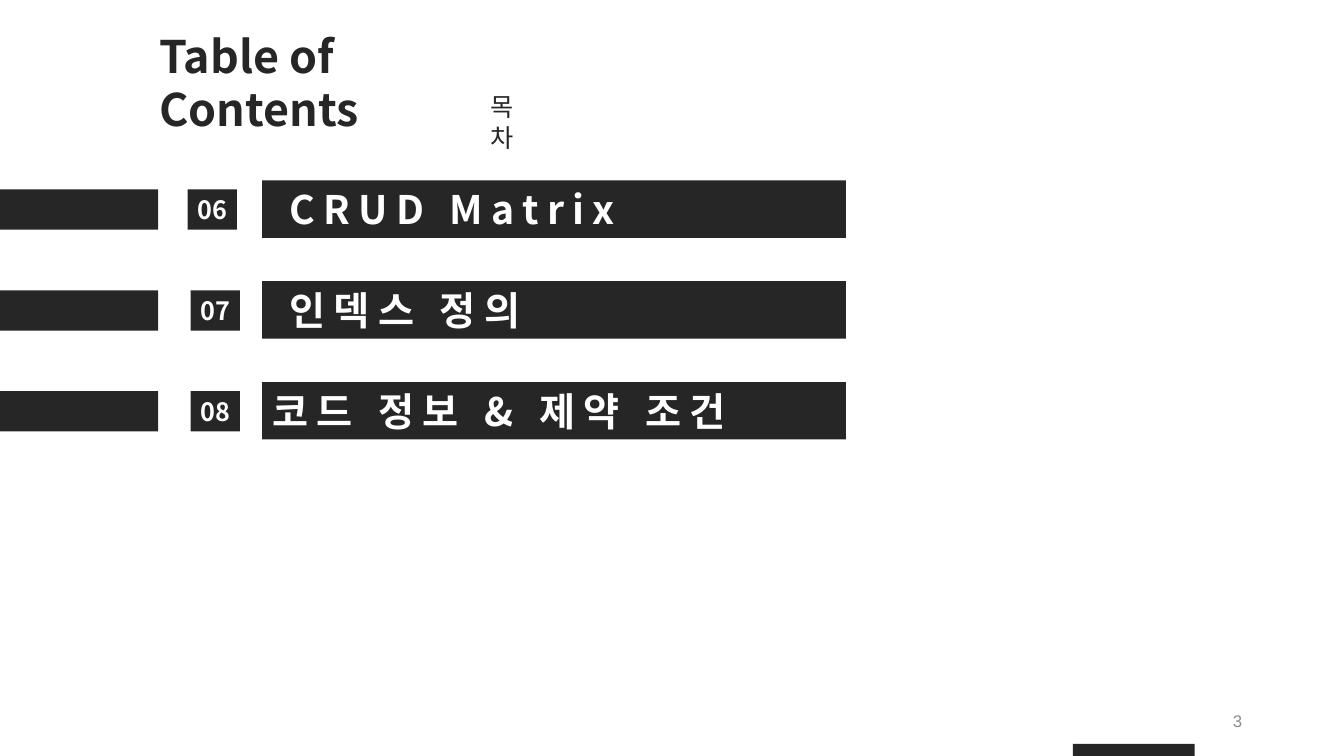
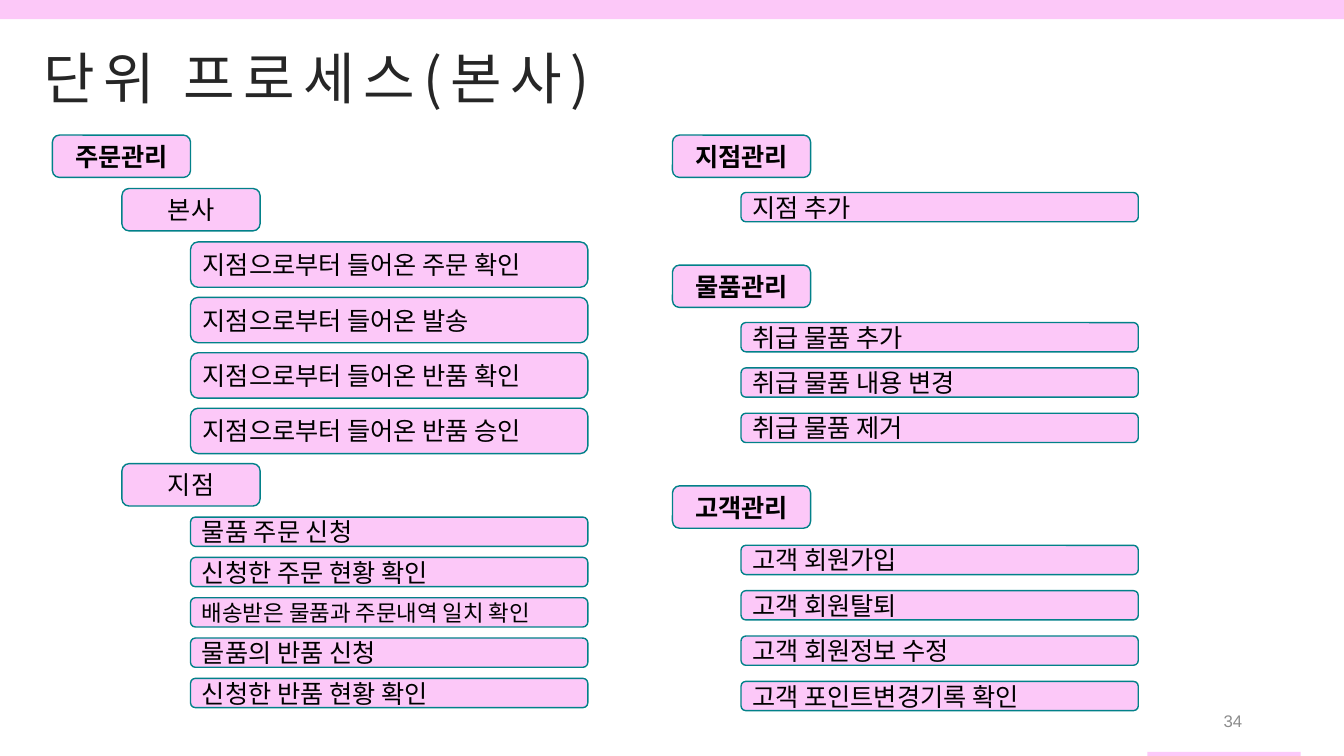
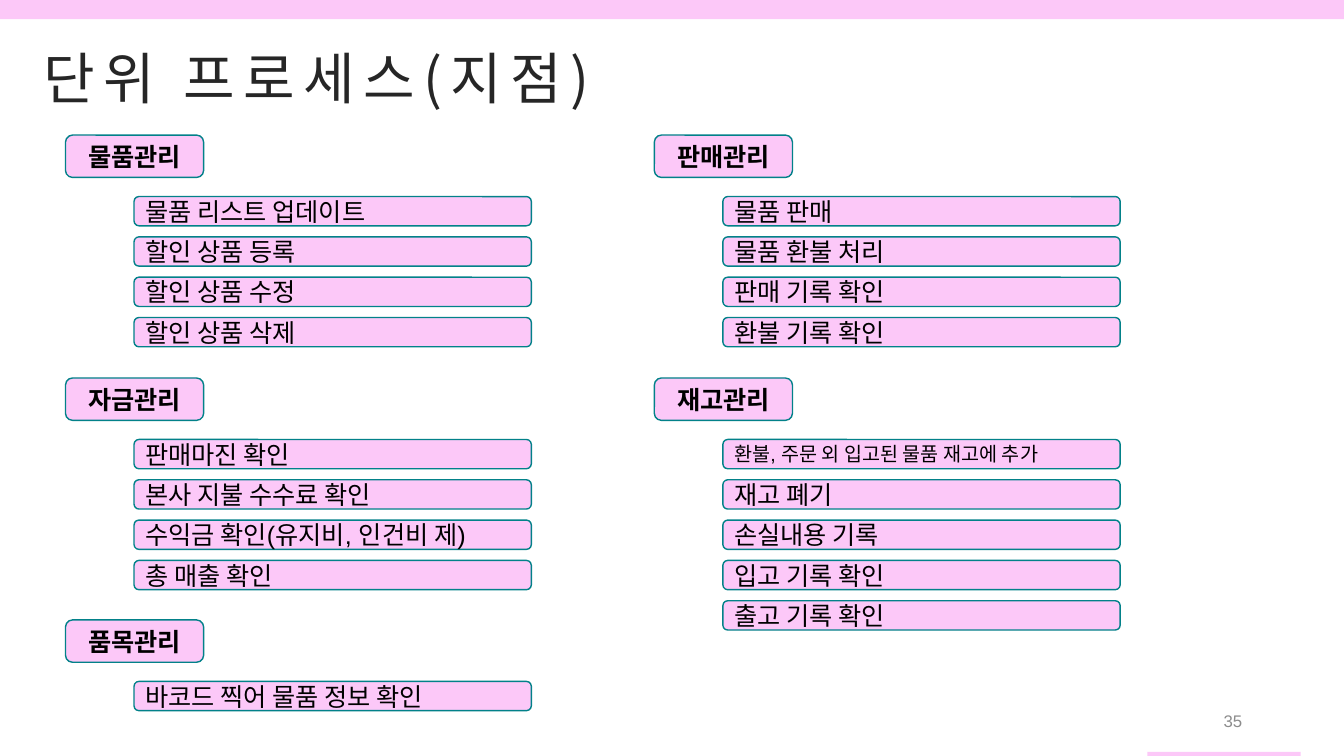
"""Builds a contents slide and two unit-process slides."""
import dataclasses

import pptx
import pptx.dml.color
import pptx.enum.shapes
import pptx.enum.text
import pptx.oxml.ns
import pptx.util

Inches = pptx.util.Inches
Pt = pptx.util.Pt
RECT = pptx.enum.shapes.MSO_SHAPE.RECTANGLE
ROUNDED = pptx.enum.shapes.MSO_SHAPE.FLOWCHART_ALTERNATE_PROCESS
LEFT, CENTER, RIGHT = (pptx.enum.text.PP_ALIGN.LEFT, pptx.enum.text.PP_ALIGN.CENTER,
                       pptx.enum.text.PP_ALIGN.RIGHT)
TOP, MIDDLE = pptx.enum.text.MSO_ANCHOR.TOP, pptx.enum.text.MSO_ANCHOR.MIDDLE


@dataclasses.dataclass(frozen=True)
class Theme:
    """Colours, fonts and type sizes of the deck."""
    dark: str = "262626"
    pink: str = "FCC8F8"
    teal: str = "028189"
    black: str = "000000"
    white: str = "FFFFFF"
    gray: str = "8C8C8C"
    display: str = "Noto Sans CJK KR"
    text: str = "Arial"
    title: int = 40
    contents: int = 32
    chapter: int = 28
    body: int = 18
    compact: int = 16
    small: int = 14
    footer: int = 12
    tracking: int = 6


def rgb(color):
    """Turns a hex string into a colour."""
    return pptx.dml.color.RGBColor.from_string(color)


def write(sp, text, *, size, color, font, bold=False, align=LEFT, anchor=TOP,
          wrap=True, spacing=0, inset=0.1):
    """Puts one formatted paragraph into a shape."""
    tf = sp.text_frame
    tf.auto_size = pptx.enum.text.MSO_AUTO_SIZE.NONE
    tf.word_wrap = wrap
    tf.vertical_anchor = anchor
    tf.margin_left = Inches(inset)
    p = tf.paragraphs[0]
    p.alignment = align
    r = p.add_run()
    r.text = text
    r.font.size = Pt(size)
    r.font.bold = bold
    r.font.name = font
    r.font.color.rgb = rgb(color)
    rPr = r.font._element
    ea = rPr.makeelement(pptx.oxml.ns.qn("a:ea"), {"typeface": Theme.display})
    rPr.find(pptx.oxml.ns.qn("a:latin")).addnext(ea)
    if spacing:
        rPr.set("spc", str(spacing * 100))


class Deck:
    """Holds the style and the current slide."""

    def __init__(self, theme):
        """Opens an empty wide presentation."""
        self.theme = theme
        self.prs = pptx.Presentation()
        self.prs.slide_width, self.prs.slide_height = Inches(13.33), Inches(7.5)
        self.slide = None

    def new_slide(self, number):
        """Adds a slide with its page number."""
        t = self.theme
        self.slide = self.prs.slides.add_slide(self.prs.slide_layouts[5])
        self.label(9.42, 6.95, 3, 0.4, str(number), size=t.footer, color=t.gray,
                   font=t.text, align=RIGHT, anchor=MIDDLE)

    def title(self, x, y, w, h, text, **fmt):
        """Moves and fills the title placeholder."""
        sp = self.slide.shapes.title
        sp.left, sp.top, sp.width, sp.height = map(Inches, (x, y, w, h))
        write(sp, text, color=self.theme.dark, font=self.theme.display, **fmt)

    def label(self, x, y, w, h, text, **fmt):
        """Adds a plain text box."""
        sp = self.slide.shapes.add_textbox(*map(Inches, (x, y, w, h)))
        write(sp, text, **fmt)

    def box(self, x, y, w, h, fill, shape=RECT, line=None, parent=None):
        """Adds a filled preset shape to the slide or to a group."""
        shapes = (parent or self.slide).shapes
        sp = shapes.add_shape(shape, *map(Inches, (x, y, w, h)))
        sp.shadow.inherit = False
        sp.fill.solid()
        sp.fill.fore_color.rgb = rgb(fill)
        if line:
            sp.line.color.rgb = rgb(line)
            sp.line.width = Pt(1)
        else:
            sp.line.fill.background()
        return sp

    def chapter(self, y, number, text, number_x=1.89, inset=0.27):
        """Adds one grouped row of the table of contents."""
        t = self.theme
        row = self.slide.shapes.add_group_shape()
        style = dict(color=t.white, font=t.display, bold=True)
        self.box(0, y + 0.09, 1.57, 0.4, t.dark, parent=row)
        sp = self.box(number_x, y + 0.09, 0.49, 0.4, t.dark, parent=row)
        write(sp, number, size=t.body, align=CENTER, wrap=False, **style)
        sp = self.box(2.6, y, 5.79, 0.57, t.dark, parent=row)
        write(sp, text, size=t.chapter, spacing=t.tracking, inset=inset, **style)

    def process(self, x, y, w, h, text, size=None, **fmt):
        """Adds one rounded process box."""
        t = self.theme
        sp = self.box(x, y, w, h, t.pink, ROUNDED, t.teal)
        write(sp, text, size=size or t.body, color=t.black, font=t.text,
              anchor=MIDDLE, **fmt)

    def branch(self, x, y, heading, items=(), gap=0.61, step=0.4, height=0.29,
               bold=True, sizes=None):
        """Adds a heading box with its indented, evenly spaced items."""
        self.process(x, y, 1.37, 0.42, heading, bold=bold, align=CENTER)
        for i, item in enumerate(items):
            self.process(x + 0.68, y + gap + i * step, 3.94, height, item,
                         size=(sizes or {}).get(i))

    def process_slide(self, number, title):
        """Starts a slide with pink bands and a wide title."""
        t = self.theme
        self.new_slide(number)
        self.box(0, 0, 13.33, 0.19, t.pink)
        self.box(11.38, 7.46, 1.52, 0.05, t.pink)
        self.title(0.33, 0.38, 6.3, 0.77, title, size=t.title, spacing=t.tracking)


def contents(deck):
    """Draws the table of contents."""
    t = deck.theme
    deck.new_slide(3)
    deck.box(10.64, 7.38, 1.21, 0.12, t.dark)
    deck.chapter(1.79, "06", "CRUD Matrix", number_x=1.86)
    deck.chapter(2.79, "07", "인덱스 정의")
    deck.chapter(3.79, "08", "코드 정보 & 제약 조건", inset=0.1)
    deck.title(1.48, 0.23, 3.5, 0.64, "Table of Contents", size=t.contents, bold=True)
    deck.label(4.77, 0.86, 0.6, 0.4, "목차", size=t.body, color=t.dark, font=t.display)


def head_office(deck):
    """Draws the head office processes."""
    deck.process_slide(34, "단위 프로세스(본사)")
    deck.branch(0.52, 1.34, "주문관리")
    deck.branch(1.21, 1.87, "본사", [
        "지점으로부터 들어온 주문 확인", "지점으로부터 들어온 발송",
        "지점으로부터 들어온 반품 확인", "지점으로부터 들어온 반품 승인",
    ], gap=0.53, step=0.55, height=0.45, bold=False)
    deck.branch(1.21, 4.6, "지점", [
        "물품 주문 신청", "신청한 주문 현황 확인", "배송받은 물품과 주문내역 일치 확인",
        "물품의 반품 신청", "신청한 반품 현황 확인",
    ], gap=0.53, bold=False, sizes={2: deck.theme.compact})
    deck.branch(6.67, 1.34, "지점관리", ["지점 추가"], gap=0.57)
    deck.branch(6.67, 2.63, "물품관리", ["취급 물품 추가", "취급 물품 내용 변경", "취급 물품 제거"],
                gap=0.57, step=0.45)
    deck.branch(6.67, 4.82, "고객관리", [
        "고객 회원가입", "고객 회원탈퇴", "고객 회원정보 수정", "고객 포인트변경기록 확인",
    ], gap=0.59, step=0.45)


def store(deck):
    """Draws the store processes."""
    deck.process_slide(35, "단위 프로세스(지점)")
    left, right = 0.65, 6.49
    upper, middle, lower = 1.34, 3.75, 6.15
    deck.branch(left, upper, "물품관리", [
        "물품 리스트 업데이트", "할인 상품 등록", "할인 상품 수정", "할인 상품 삭제"])
    deck.branch(left, middle, "자금관리", [
        "판매마진 확인", "본사 지불 수수료 확인", "수익금 확인(유지비, 인건비 제)", "총 매출 확인"])
    deck.branch(left, lower, "품목관리", ["바코드 찍어 물품 정보 확인"])
    deck.branch(right, upper, "판매관리", [
        "물품 판매", "물품 환불 처리", "판매 기록 확인", "환불 기록 확인"])
    deck.branch(right, middle, "재고관리", [
        "환불, 주문 외 입고된 물품 재고에 추가", "재고 폐기", "손실내용 기록",
        "입고 기록 확인", "출고 기록 확인"], sizes={0: deck.theme.small})


def main():
    """Builds and saves the deck."""
    deck = Deck(Theme())
    contents(deck)
    head_office(deck)
    store(deck)
    deck.prs.save("out.pptx")


if __name__ == "__main__":
    main()
